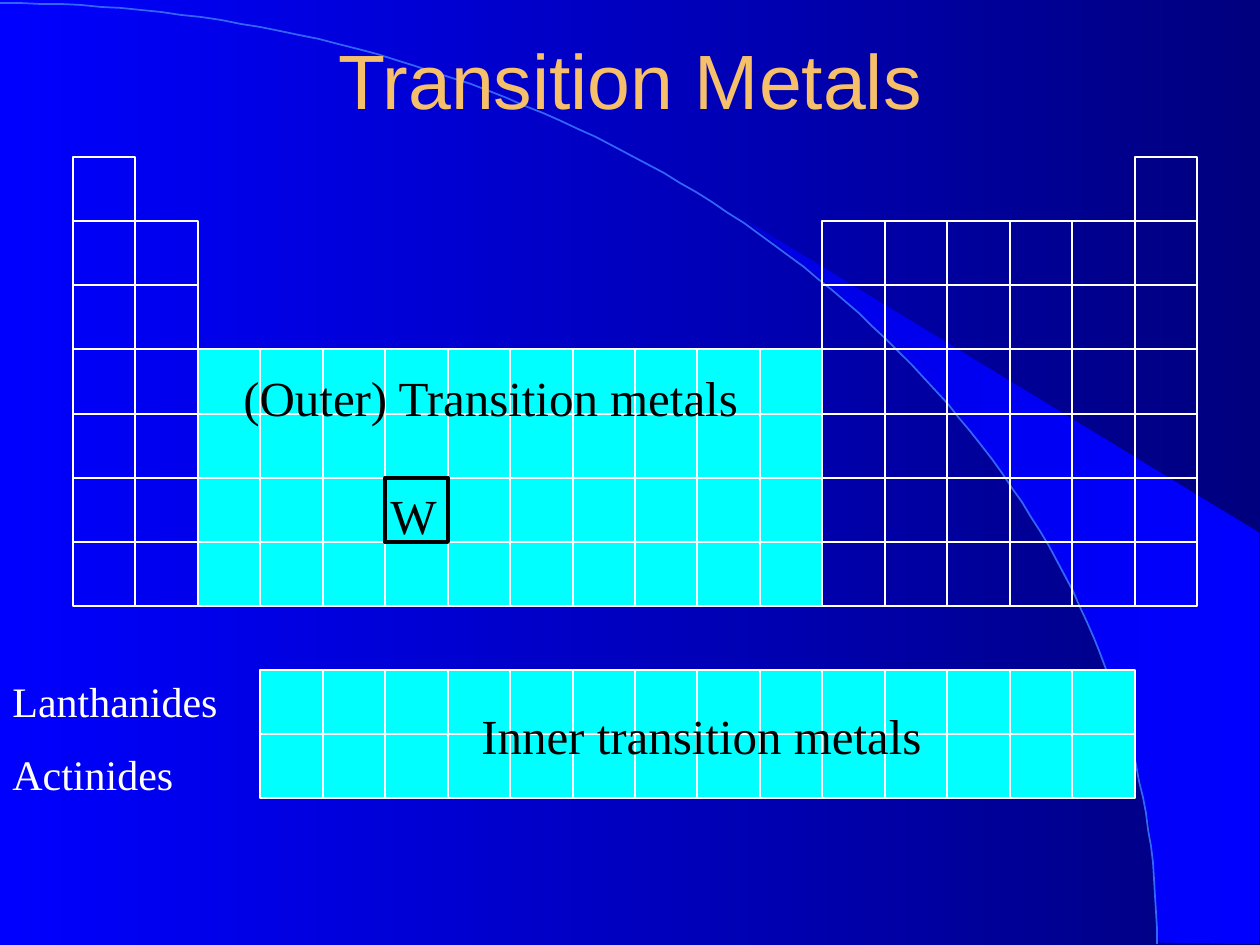
from dataclasses import dataclass
from itertools import product
from math import cos, pi, sin
from typing import Optional

from pptx import Presentation
from pptx.dml.color import RGBColor
from pptx.dml.fill import FillFormat
from pptx.enum.shapes import MSO_SHAPE
from pptx.enum.text import MSO_ANCHOR, PP_ALIGN
from pptx.util import Emu, Pt

EMU_PER_PX = 914400 / 126
WIDTH, HEIGHT = 1260, 945
WHITE, BLACK, CYAN = "FFFFFF", "000000", "00FFFF"

# Periodic table grid
GRID_LEFT, GRID_TOP = 73, 157
GRID_WIDTH, GRID_HEIGHT = 1124, 449
GROUPS, PERIODS = 18, 7
TUNGSTEN = (5, 5)


@dataclass
class Block:
    column: int
    row: int
    columns: int
    rows: int
    fill: Optional[str] = None


@dataclass
class Label:
    lines: list[str]
    left: int
    top: int
    width: int
    height: int
    size: int = 28
    color: str = BLACK
    font: str = "Times New Roman"
    align: PP_ALIGN = PP_ALIGN.LEFT
    anchor: MSO_ANCHOR = MSO_ANCHOR.TOP


BLOCKS = [
    Block(0, 0, 1, 7),
    Block(1, 1, 1, 6),
    Block(2, 3, 10, 4, CYAN),
    Block(12, 1, 5, 6),
    Block(17, 0, 1, 7),
    Block(3, 8, 14, 2, CYAN),
]

TITLE = Label(["Transition Metals"], 95, 0, 1071, 158, 44, "F6BF69", "Arial",
              PP_ALIGN.CENTER, MSO_ANCHOR.MIDDLE)
LABELS = [
    Label(["Lanthanides", "Actinides"], 0, 669, 256, 139, 24, WHITE),
    Label(["Inner transition metals"], 469, 699, 515, 72),
    Label(["(Outer) Transition metals"], 231, 361, 557, 72),
    Label(["W"], 378, 479, 116, 72),
]

WEDGE = [
    (1159, 942), (1259, 944), (1259, 533), (742, 218), (786, 251), (823, 280),
    (863, 315), (902, 353), (960, 416), (1012, 484), (1048, 543), (1081, 604),
    (1106, 665), (1125, 721), (1138, 767), (1150, 827), (1155, 877),
]


def px(length: int) -> Emu:
    return Emu(round(length * EMU_PER_PX))


def rgb(color: str) -> RGBColor:
    return RGBColor.from_string(color)


def set_gradient(fill: FillFormat, start: str, end: str) -> None:
    fill.gradient()
    fill.gradient_angle = 0
    for stop, color, position in zip(fill.gradient_stops, (start, end), (0, 1)):
        stop.color.rgb = rgb(color)
        stop.position = position


def add_outline(page, points: list[tuple[int, int]], close: bool):
    builder = page.shapes.build_freeform(*points[0], scale=EMU_PER_PX)
    builder.add_line_segments(points[1:], close=close)
    shape = builder.convert_to_shape()
    shape.shadow.inherit = False
    return shape


def add_backdrop(page) -> None:
    set_gradient(page.background.fill, "0000FF", "00007F")
    wedge = add_outline(page, WEDGE, close=True)
    set_gradient(wedge.fill, "0000E5", "0000FF")
    wedge.line.fill.background()

    # Quarter ellipse from the top left to the bottom right
    steps = 90
    angles = [pi / 2 * step / steps for step in range(steps + 1)]
    points = [(round(1157 * sin(a)), round(944 - 941 * cos(a))) for a in angles]
    arc = add_outline(page, points, close=False)
    arc.fill.background()
    arc.line.color.rgb = rgb("3365FB")
    arc.line.width = Pt(1)


def add_cell(page, column: int, row: int, fill: Optional[str],
             line: str = WHITE, weight: float = 1) -> None:
    left, right = (GRID_LEFT + round(GRID_WIDTH * c / GROUPS) for c in (column, column + 1))
    top, bottom = (GRID_TOP + round(GRID_HEIGHT * r / PERIODS) for r in (row, row + 1))
    cell = page.shapes.add_shape(MSO_SHAPE.RECTANGLE, px(left), px(top),
                                 px(right - left), px(bottom - top))
    cell.shadow.inherit = False
    if fill:
        cell.fill.solid()
        cell.fill.fore_color.rgb = rgb(fill)
    else:
        cell.fill.background()
    cell.line.color.rgb = rgb(line)
    cell.line.width = Pt(weight)


def add_block(page, block: Block) -> None:
    columns = range(block.column, block.column + block.columns)
    rows = range(block.row, block.row + block.rows)
    for position in product(columns, rows):
        if position != TUNGSTEN:
            add_cell(page, *position, block.fill)


def add_label(page, label: Label) -> None:
    box = page.shapes.add_textbox(px(label.left), px(label.top),
                                  px(label.width), px(label.height))
    frame = box.text_frame
    frame.word_wrap = True
    frame.vertical_anchor = label.anchor
    frame.text = "\n".join(label.lines)
    for index, para in enumerate(frame.paragraphs):
        para.alignment = label.align
        para.font.name = label.font
        para.font.size = Pt(label.size)
        para.font.color.rgb = rgb(label.color)
        if index:
            para.space_before = Pt(13)


def main() -> None:
    deck = Presentation()
    deck.slide_width, deck.slide_height = px(WIDTH), px(HEIGHT)
    page = deck.slides.add_slide(deck.slide_layouts[6])

    add_backdrop(page)
    add_label(page, TITLE)
    for block in BLOCKS:
        add_block(page, block)

    # Highlighted element above its neighbours
    add_cell(page, *TUNGSTEN, CYAN, BLACK, 2.25)
    for label in LABELS:
        add_label(page, label)

    deck.save("out.pptx")


if __name__ == "__main__":
    main()
